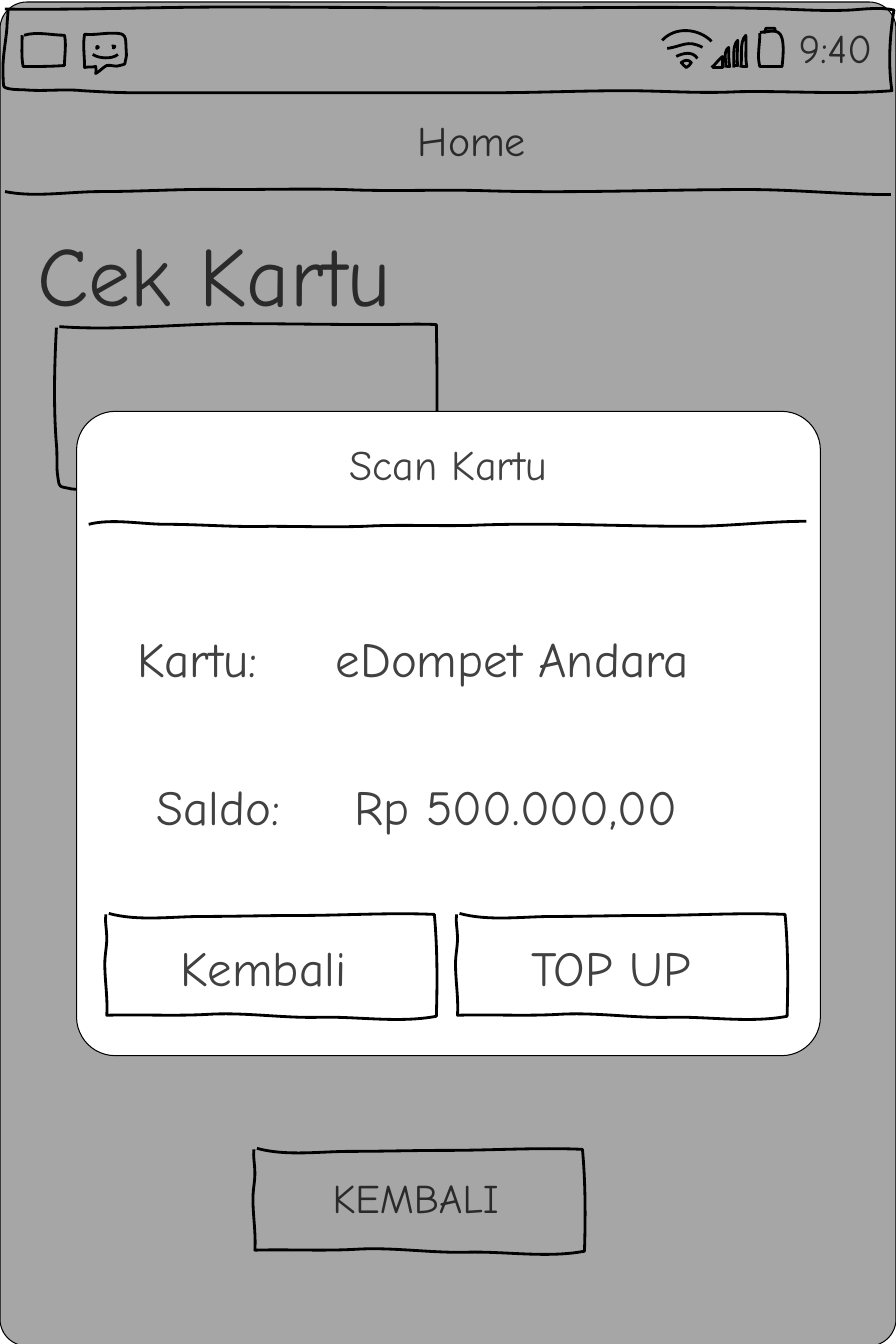
import lxml.etree
import pptx
import pptx.dml.color
import pptx.enum.shapes
import pptx.enum.text
import pptx.oxml.ns
import pptx.util

CELL = pptx.util.Inches(0.1)  # the slide is a grid of 88.9 columns by 133.3 rows
COLS, ROWS = 88.9, 133.3
FONT = "Comic Neue"
COLORS = {"ink": "000000", "paper": "FFFFFF", "text": "414141"}
ALIGN = pptx.enum.text.PP_ALIGN

# Hand-drawn strokes: a start point, then three points per Bézier curve, in grid cells.
BAR = """.5,.9 7.9,1 15.3,.7 22.7,.7 31.5,.7 40.3,.8 49,.8 58.6,.8 68.2,.6 77.8,.9 80.1,1 82.2,1.1
 84.4,1 85.8,.9 87.4,.7 88.7,1 88.3,3.4 88.1,6.4 88.5,9 83.4,9.4 78.3,9 73.2,9.1 69.5,9.3 65.7,9
 62,9 57.6,9 53.2,9.2 48.8,9.2 37,9.2 25.2,9.2 13.3,9.2 11.6,9.2 9.9,9.1 8.2,9 6.3,8.8 4.3,9.1
 2.3,8.9 1.9,8.9 .7,8.9 .4,8.6 .3,8.5 .3,6.9 .3,6.7 .3,5.4 .6,4 .7,2.7 .7,2.1 .8,1.5 .8,1"""
RULE = """0,0 2.9,.6 6.4,0 9.5,0 13.7,0 17.9,-.3 22.1,-.2 26,-.2 29.9,-.3 33.7,-.2 38.1,0 42.5,-.2
 47,-.1 55.9,.2 64.9,-.2 73.7,-.2 78.5,-.2 83.2,.3 87.9,.3"""
BUTTON = """.4,0 3.3,.8 6.7,.3 9.7,.3 12.9,.3 16.1,.2 19.3,.2 23.8,.2 28.3,-.1 32.7,.1 33,3.4 33,6.8
 32.9,10.2 29.2,10.9 25,10.2 21.3,10.3 17.7,10.4 14,9.8 10.4,10 7,10.2 3.5,10 .2,10.1 .3,8.3
 0,6.7 0,5 0,4.1 .2,3.3 .2,2.5 .2,1.6 0,.8 .1,.1"""
CARD = """.5,.3 5.9,.7 11.7,.1 17.3,0 22.3,0 27.3,.1 32.3,.1 34.1,.1 36,0 37.9,.1 38,5.5 38,10.8
 37.8,16.3 35.1,16.6 32.2,16.1 29.5,16.3 27.2,16.4 24.8,16.5 22.5,16.5 17.6,16.5 12.7,16.6
 7.8,16.3 5.8,16.1 3.6,16.6 1.7,16.4 .4,16.1 .5,16.4 .3,14.9 .2,14.1 .3,12.9 .2,12 -.1,8.3
 0,4.1 .2,.4"""
MAIL = [".2,.2 1.5,-.2 2.9,.2 4.2,.2 4.4,1.1 4.2,2.2 4.2,3.2 2.9,3.3 1.4,3.3 .1,3.3 -.1,2.3 0,1.2 0,.2"]
CHAT = [
    """.1,.1 1,.2 1.9,0 2.7,0 3.9,0 4.2,0 4.2,1.2 4.2,1.6 4.3,2.2 4.2,2.5 4,3.2 4.3,3 3.6,3.2
 3.2,3.4 2.7,3.1 2.3,3.2 1.9,3.4 1.7,3.7 1.2,4 1.3,3.8 1.2,3.6 1.2,3.3 .8,3.4 .5,3.3 .1,3.4
 .1,2.3 -.1,1.1 .1,.1""",
    "1.4,1.3 1.4,1.3 1.2,1.3 1.3,1.5 1.6,1.5 1.4,1.3 1.4,1.3",
    "2.9,1.4 2.9,1.4 3,1.6 3.1,1.3 2.9,1.2 2.9,1.3 2.8,1.3",
    ".9,2.1 1.5,2.5 2.8,2.6 3.4,2.1",
]
WIFI = [
    "1.9,3.4 2,3.6 2.3,3.8 2.4,3.9 2.6,3.8 2.8,3.6 2.9,3.4 2.6,3.1 2.3,3.1 1.9,3.4",
    "1.4,2.8 2,2.5 3,2.2 3.5,3",
    ".5,2 2,1.8 2.5,1.1 4,1.9",
    "0,1.2 1.3,-.2 3.6,0 4.9,1.3",
]
SIGNAL = [
    "1.4,3.2 1.5,2.6 1.1,1.7 1.7,1.2 1.7,1.8 1.7,2.5 1.8,3.1 1.6,3.1 1.6,3.1 1.5,3.1",
    "2.2,3.2 2.3,2.4 2,1.1 2.6,.5 2.6,1.4 2.5,2.2 2.6,3 2.5,3 2.4,3 2.2,3",
    "2.9,3.2 3.1,2.3 2.7,.7 3.4,0 3.5,1 3.3,2.1 3.5,3.1 3.3,3.1 3.1,3.1 3,3.1",
    "0,3.2 .4,2.9 .6,2.5 1.1,2.1 1.1,2.4 1.1,2.8 1.1,3.2 .8,3.2 .4,3.2 .1,3.2",
]
BATTERY = [
    ".1,.4 1.1,.4 2,-.1 2.3,1 2.5,1.7 2.4,3 2.3,3.8 1.5,3.8 .7,3.8 .1,3.8 -.2,2.8 .1,1.6 .1,.5",
    ".5,.5 .5,.4 .7,.2 .7,0 .9,0 1.4,0 1.6,0 1.6,.2 1.6,.3 1.6,.4",
]


def cells(*values):
    return [round(v * CELL) for v in values]


def rgb(name):
    return pptx.dml.color.RGBColor.from_string(COLORS[name])


def paint(sp, fill, width):
    sp.shadow.inherit = False
    if fill:
        sp.fill.solid()
        sp.fill.fore_color.rgb = rgb(fill)
    else:
        sp.fill.background()
    sp.line.color.rgb = rgb("ink")
    sp.line.width = pptx.util.Pt(width)


def curve(sp):
    """Join every three straight segments of a freeform into one Bézier curve."""
    qn = pptx.oxml.ns.qn
    segments = list(sp._element.iter(qn("a:lnTo")))
    for i in range(0, len(segments), 3):
        bezier = lxml.etree.Element(qn("a:cubicBezTo"))
        segments[i].addprevious(bezier)
        for segment in segments[i:i + 3]:
            bezier.append(segment[0])
            segment.getparent().remove(segment)


def sketch(s, stroke, x, y, sx=1, sy=1, fill="paper"):
    pairs = [map(float, pair.split(",")) for pair in stroke.split()]
    points = [cells(x + px * sx, y + py * sy) for px, py in pairs]
    ff = s.shapes.build_freeform(*points[0], scale=1.0)
    ff.add_line_segments(points[1:], close=False)
    sp = ff.convert_to_shape()
    curve(sp)
    paint(sp, fill, 2)


def icon(s, strokes, x, y, fill="paper"):
    for stroke in strokes:
        sketch(s, stroke, x, y, fill=fill)


def write(sp, text, size, align):
    tf = sp.text_frame
    frame = {"word_wrap": True, "auto_size": pptx.enum.text.MSO_AUTO_SIZE.NONE,
             "vertical_anchor": pptx.enum.text.MSO_ANCHOR.MIDDLE}
    frame.update({f"margin_{side}": pptx.util.Inches(0.04)
                  for side in ("left", "right", "top", "bottom")})
    for name, value in frame.items():
        setattr(tf, name, value)
    p = tf.paragraphs[0]
    p.alignment = align
    r = p.add_run()
    r.text = text
    for name, value in {"name": FONT, "size": pptx.util.Pt(size)}.items():
        setattr(r.font, name, value)
    r.font.color.rgb = rgb("text")


def label(s, box, text, size, align=ALIGN.LEFT):
    write(s.shapes.add_textbox(*cells(*box)), text, size, align)


def panel(s, box, radius, fill):
    sp = s.shapes.add_shape(pptx.enum.shapes.MSO_SHAPE.ROUNDED_RECTANGLE, *cells(*box))
    sp.adjustments[0] = radius
    paint(sp, fill, 0.75)
    return sp


def status_bar(s, x, y):
    sketch(s, BAR, x, y)
    icon(s, MAIL, x + 2.2, y + 3.3)
    icon(s, CHAT, x + 8.3, y + 3.3)
    icon(s, WIFI, x + 65.7, y + 2.8)
    icon(s, SIGNAL, x + 70.6, y + 3.5)
    icon(s, BATTERY, x + 75.3, y + 2.8, fill=None)
    label(s, (x + 78, y + 1.3, 9.8, 6.7), "9:40", 29, ALIGN.CENTER)


def button(s, x, y, text, size, text_box, align=ALIGN.LEFT):
    """Draw a button whose text box is given relative to its corner."""
    dx, dy, w, h = text_box
    sketch(s, BUTTON, x, y)
    label(s, (x + dx, y + dy, w, h), text, size, align)


def page(s, x, y):
    title = s.shapes.title
    title.left, title.top, title.width, title.height = cells(x + 3.3, y + 24.4, 40, 5.4)
    write(title, "Cek Kartu", 60, ALIGN.LEFT)
    sketch(s, CARD, x + 5.4, y + 32.1)
    sketch(s, RULE, x + 0.5, y + 19)
    label(s, (x + 36.2, y + 11.2, 16.4, 5.4), "Home", 30, ALIGN.RIGHT)
    button(s, x + 25.1, y + 113.9, "KEMBALI", 29, (4.6, 1.5, 23.1, 6.7), ALIGN.CENTER)


def dim(s, box):
    sp = panel(s, box, 0.03, "ink")
    color = sp._element.spPr.find(".//" + pptx.oxml.ns.qn("a:srgbClr"))
    lxml.etree.SubElement(color, pptx.oxml.ns.qn("a:alpha"), val="35000")


def dialog(s, box):
    x, y = box[:2]
    panel(s, box, 0.06, "paper")
    sketch(s, RULE, x + 1.2, y + 11.2, sx=0.81, sy=-1)
    label(s, (x + 20.8, y + 2.5, 26.3, 5.4), "Scan Kartu", 30, ALIGN.RIGHT)
    rows = [("Kartu:", "eDompet Andara"), ("Saldo:", "Rp 500.000,00")]
    for i, (name, value) in enumerate(rows):
        left, top = x + 5.6 + 1.9 * i, y + 20.7 + 14.6 * i
        label(s, (left, top, 15.2, 7.6), name, 35)
        label(s, (left + 19.7, top, 39.1, 7.6), value, 35)
    for i, text in enumerate(("Kembali", "TOP UP")):
        button(s, x + 2.8 + 34.8 * i, y + 49.8, text, 35, (7.1, 1.5, 21.6, 7.6))


def main():
    prs = pptx.Presentation()
    prs.slide_width, prs.slide_height = cells(COLS, ROWS)
    s = prs.slides.add_slide(prs.slide_layouts[5])
    status_bar(s, 0, 0)
    page(s, 0, 0)
    dim(s, (0, 0.2, COLS, ROWS))
    dialog(s, (7.6, 40.8, 73.8, 63.9))
    prs.save("out.pptx")


if __name__ == "__main__":
    main()
